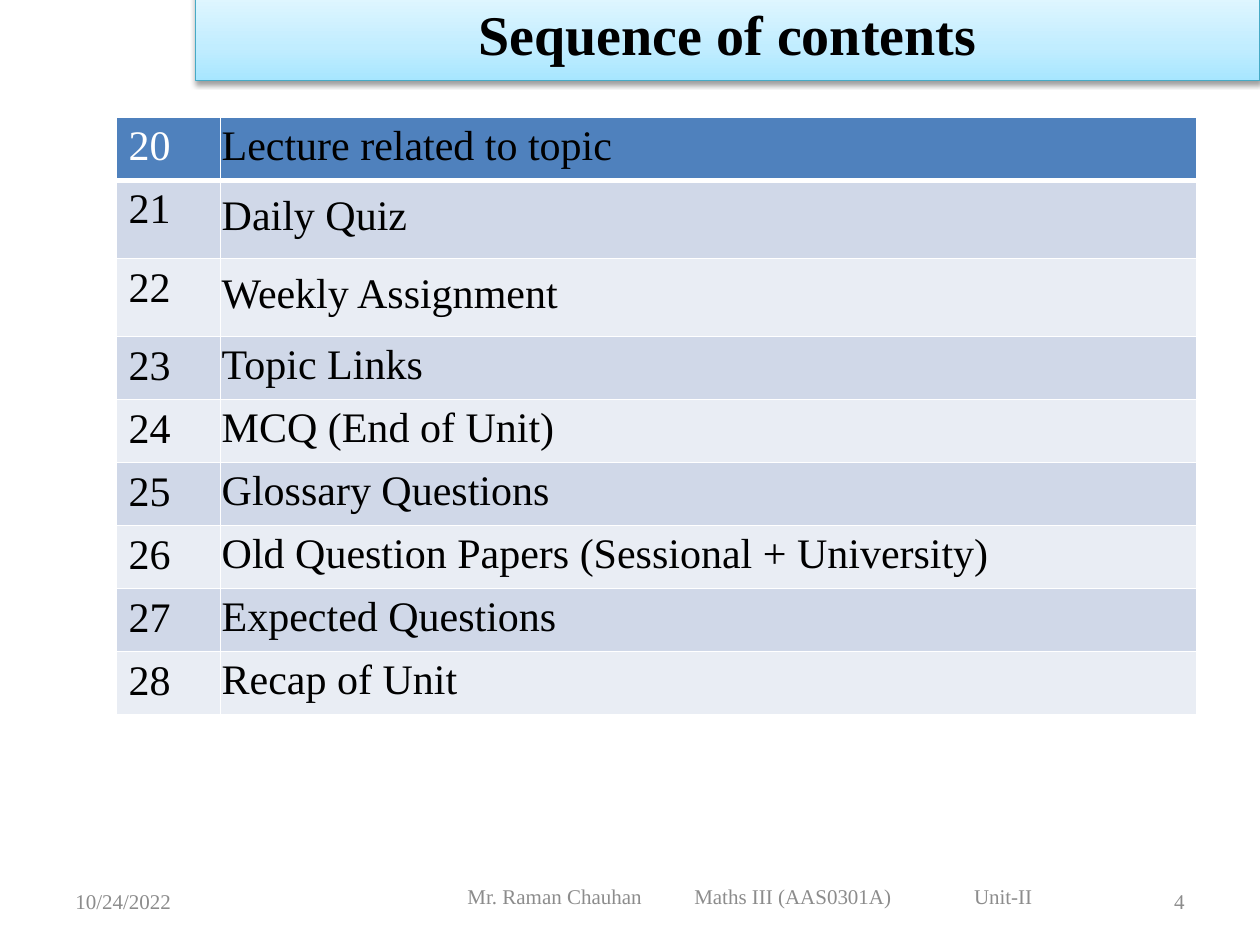
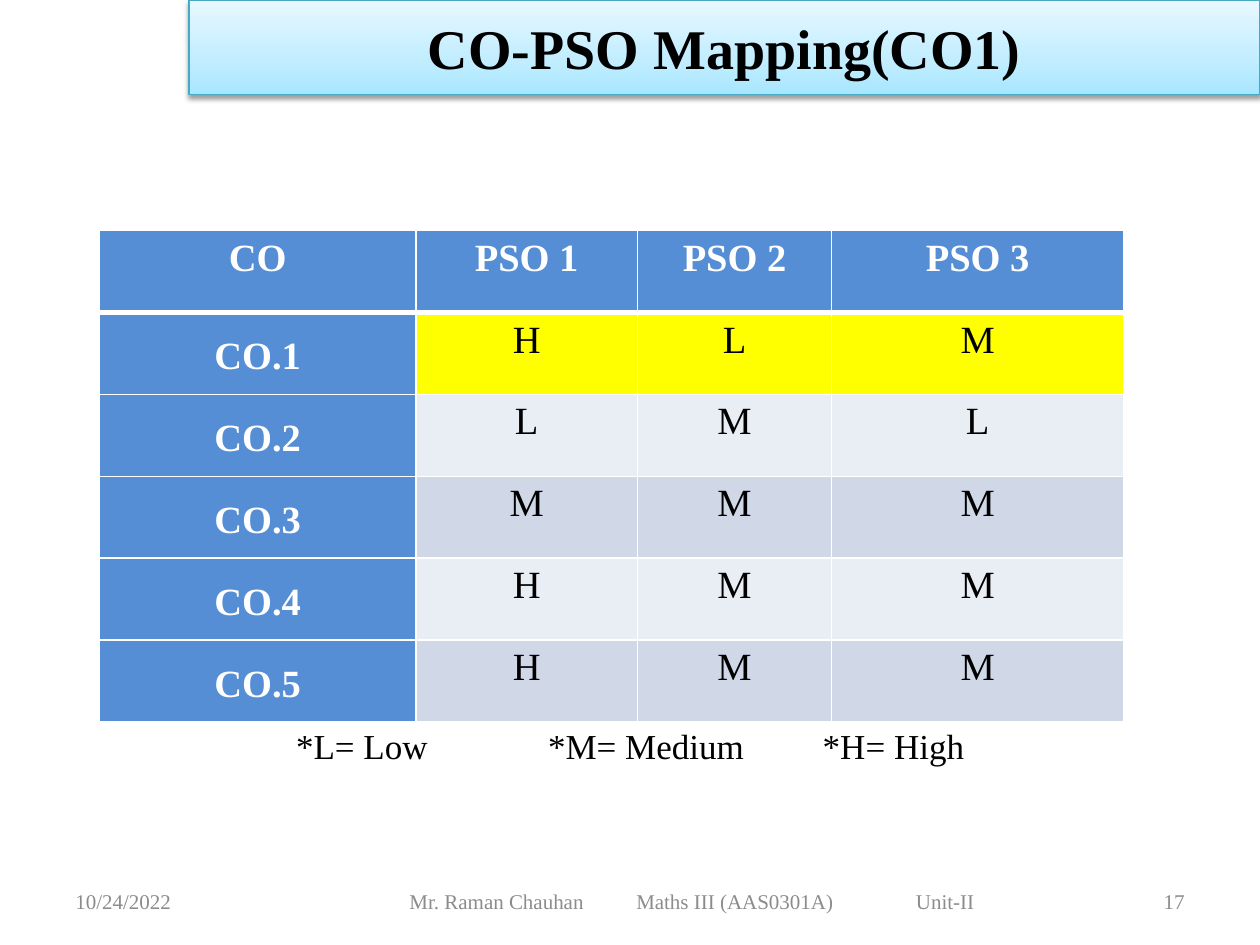
from lxml import etree
from pptx import Presentation
from pptx.dml.color import RGBColor as RGB
from pptx.enum.text import MSO_ANCHOR as Anchor, PP_ALIGN as Align
from pptx.oxml import parse_xml
from pptx.oxml.ns import nsdecls, qn
from pptx.util import Inches, Pt

BLACK = RGB(0, 0, 0)
WHITE = RGB(255, 255, 255)
GRAY = RGB(0x8C, 0x8C, 0x8C)
TEAL = RGB(0x46, 0xAA, 0xC5)
BLUE = RGB(0x4F, 0x81, 0xBD)
SKY = RGB(0x55, 0x8E, 0xD5)
YELLOW = RGB(255, 255, 0)
BANDS = RGB(0xE9, 0xED, 0xF4), RGB(0xD0, 0xD8, 0xE8)
FONT = "Times New Roman"
STOPS = (0, "A7E6FF"), (35, "C1EDFF"), (100, "E7F8FF")
DATE = "10/24/2022"
FOOT = "Mr. Raman Chauhan\tMaths III (AAS0301A)\tUnit-II"
TOPICS = ["Lecture related to topic", "Daily Quiz", "Weekly Assignment",
          "Topic Links", "MCQ (End of Unit)", "Glossary Questions",
          "Old Question Papers (Sessional + University)",
          "Expected Questions", "Recap of Unit"]
LEVELS = ["HLM", "LML", "MMM", "HMM", "HMM"]


def write(frame, text, size=12, color=BLACK, bold=False, align=Align.LEFT,
          space=None, tabs=(), anchor=None, inset=None):
    """Fill a text frame or table cell with one formatted paragraph."""
    if inset:
        (frame.margin_left, frame.margin_top,
         frame.margin_right, frame.margin_bottom) = map(Inches, inset)
    if anchor is not None:
        frame.vertical_anchor = anchor
    body = getattr(frame, "text_frame", frame)
    para = body.paragraphs[0]
    para.alignment = align
    if space:
        para.line_spacing = space
    if tabs:
        stops = etree.SubElement(para._p.get_or_add_pPr(), qn("a:tabLst"))
        for tab in tabs:
            etree.SubElement(stops, qn("a:tab"), pos=str(Inches(tab)), algn="l")
    run = para.add_run()
    run.text = text
    font = run.font
    font.name, font.size, font.bold = FONT, Pt(size), bold
    font.color.rgb = color


class Deck:
    """Hold the shared style and the current slide."""

    def __init__(self):
        """Start an empty deck."""
        self.prs = Presentation()
        self.prs.slide_width = Inches(10)
        self.prs.slide_height = Inches(7.5)

    def page(self, title, band, foot, number):
        """Add a slide with its title band and footers."""
        self.slide = self.prs.slides.add_slide(self.prs.slide_layouts[5])
        self.band(title, band)
        self.text(DATE, (0.5, 6.95, 2.33, 0.4), color=GRAY)
        side = (foot[2] - 4.5) / 2
        self.text(FOOT, foot, color=GRAY, tabs=(1.8, 4.02),
                  inset=(side, 0.05, 0, 0.05))
        self.text(number, (7.17, 6.95, 2.33, 0.4), color=GRAY,
                  align=Align.RIGHT)

    def band(self, title, at):
        """Place the title on a shaded band."""
        shape = self.slide.shapes.title
        shape.left, shape.top, shape.width, shape.height = map(Inches, at)
        stops = "".join(
            f'<a:gs pos="{pos * 1000}"><a:srgbClr val="{tone}"/></a:gs>'
            for pos, tone in STOPS)
        props = shape._element.spPr
        props.append(parse_xml(
            f'<a:prstGeom {nsdecls("a")} prst="rect"><a:avLst/></a:prstGeom>'))
        props.append(parse_xml(
            f'<a:gradFill {nsdecls("a")} rotWithShape="1"><a:gsLst>{stops}'
            '</a:gsLst><a:lin ang="16200000" scaled="0"/></a:gradFill>'))
        shape.line.color.rgb = TEAL
        shape.line.width = Pt(0.75)
        props.append(parse_xml(
            f'<a:effectLst {nsdecls("a")}><a:outerShdw blurRad="{Pt(3.1)}" '
            f'dist="{Pt(1.6)}" dir="5400000" rotWithShape="0">'
            '<a:srgbClr val="000000"><a:alpha val="38000"/></a:srgbClr>'
            '</a:outerShdw></a:effectLst>'))
        shape.text_frame.word_wrap = True
        write(shape.text_frame, title, size=32, bold=True, align=Align.CENTER,
              anchor=Anchor.MIDDLE)

    def text(self, text, at, **form):
        """Add a text box."""
        frame = self.slide.shapes.add_textbox(*map(Inches, at)).text_frame
        frame.word_wrap = True
        write(frame, text, anchor=Anchor.MIDDLE, **form)

    def edge(self, cell, row):
        """Draw white cell borders, thicker under the header."""
        props = cell._tc.get_or_add_tcPr()
        widths = {"L": 1, "R": 1, "T": 3 if row == 1 else 1,
                  "B": 1 if row else 3}
        for spot, (side, width) in enumerate(widths.items()):
            props.insert(spot, parse_xml(
                f'<a:ln{side} {nsdecls("a")} w="{Pt(width)}"><a:solidFill>'
                f'<a:srgbClr val="{WHITE}"/></a:solidFill></a:ln{side}>'))

    def table(self, data, spot, cols, rows, look):
        """Add a table; look gives the fill and format of each cell."""
        size = sum(cols), sum(rows)
        grid = self.slide.shapes.add_table(
            len(rows), len(cols), *map(Inches, spot + size)).table
        for col, width in zip(grid.columns, cols):
            col.width = Inches(width)
        for line, height in zip(grid.rows, rows):
            line.height = Inches(height)
        for r, line in enumerate(data):
            for c, text in enumerate(line):
                cell = grid.cell(r, c)
                fill, form = look(r, c)
                cell.fill.solid()
                cell.fill.fore_color.rgb = fill
                self.edge(cell, r)
                write(cell, text, **form)


def topic(row, col):
    """Style a cell of the contents table."""
    form = {"size": 24}
    if col:
        form.update(anchor=Anchor.MIDDLE, inset=(0.01, 0.01, 0.01, 0.05))
    elif row == 0:
        form["color"] = WHITE
    return BANDS[row % 2] if row else BLUE, form


def level(row, col):
    """Style a cell of the mapping table."""
    head = row == 0 or col == 0
    fill = SKY if head else YELLOW if row == 1 else BANDS[row % 2]
    return fill, {
        "size": 22, "bold": head, "color": WHITE if head else BLACK,
        "align": Align.CENTER, "space": 1.15, "inset": (0.07, 0, 0.07, 0),
        "anchor": Anchor.MIDDLE if row and not col else Anchor.TOP}


def main():
    """Build and save both slides."""
    deck = Deck()
    deck.page("Sequence of contents", (1.55, -0.11, 8.45, 0.75),
              (3.42, 6.88, 5.08, 0.47), "4")
    deck.table([(str(n), name) for n, name in enumerate(TOPICS, 20)],
               (0.92, 0.93), (0.83, 7.75),
               [0.46] + [0.62] * 2 + [0.46] * 6, topic)

    deck.page("CO-PSO Mapping(CO1)", (1.5, 0, 8.5, 0.75),
              (2.75, 6.95, 5.5, 0.4), "17")
    head = ["CO"] + [f"PSO {n}" for n in range(1, 4)]
    body = [[f"CO.{n}", *marks] for n, marks in enumerate(LEVELS, 1)]
    deck.text("*L= Low\t*M= Medium\t*H= High", (0.5, 5.72, 9, 0.4), size=20,
              tabs=(2, 4.18), inset=(1.85, 0.05, 0.1, 0.05))
    deck.table([head] + body, (0.79, 1.83), (2.51, 1.76, 1.54, 2.32),
               [0.65] * 6, level)
    deck.prs.save("out.pptx")


if __name__ == "__main__":
    main()
